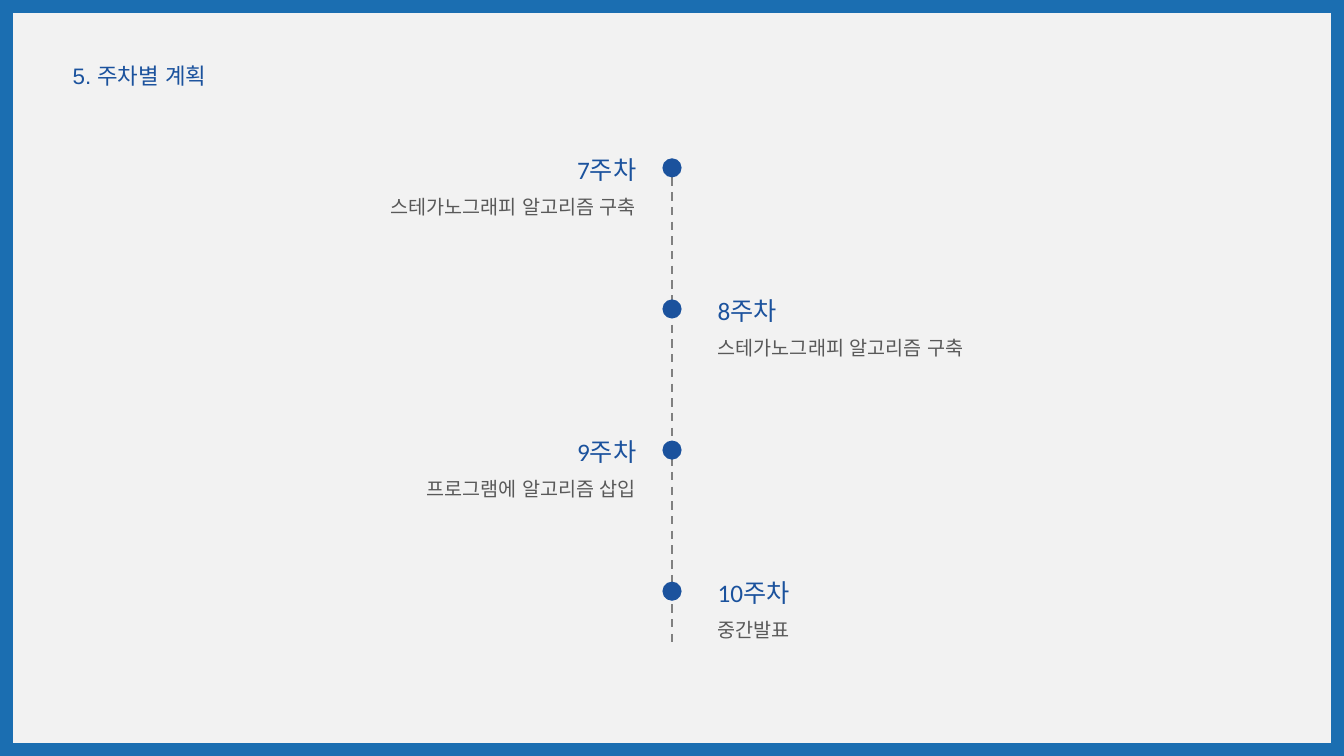
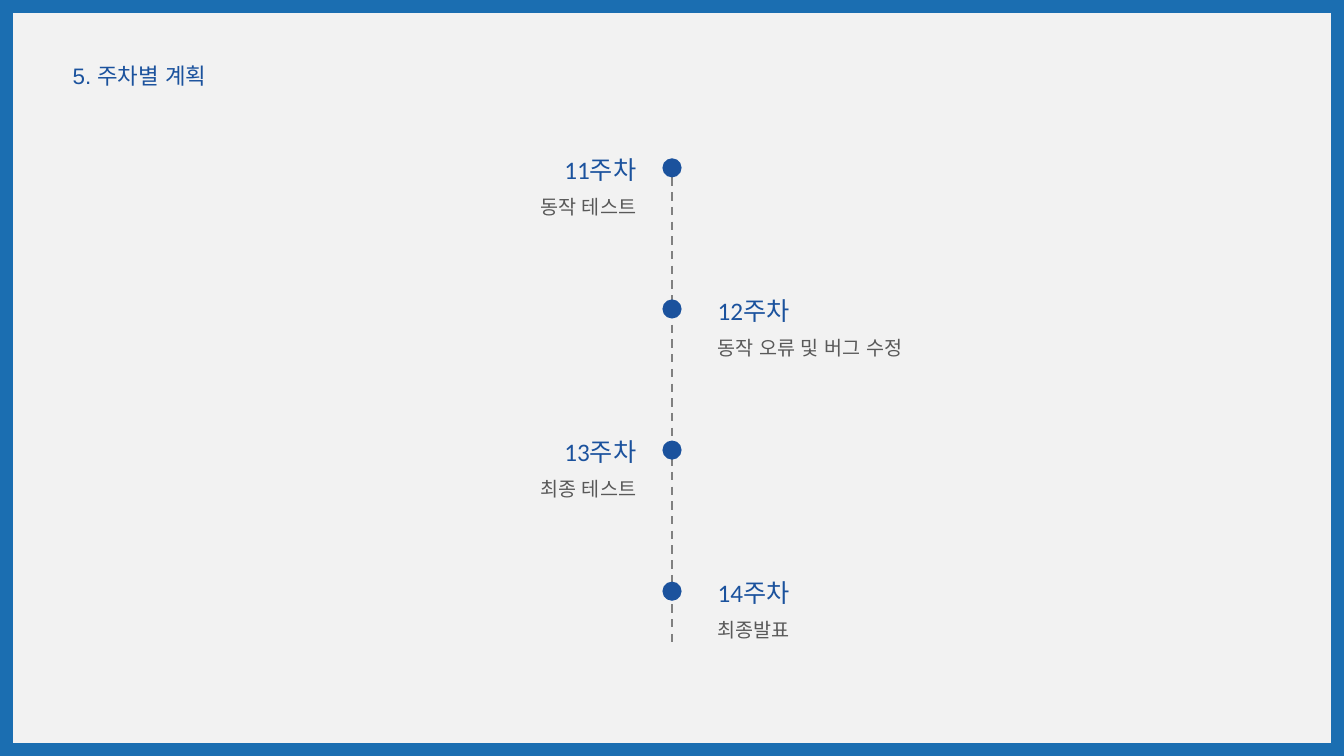
from pptx import Presentation
from pptx.dml.color import RGBColor
from pptx.enum import dml, lang, shapes, text
from pptx.oxml import parse_xml
from pptx.oxml.ns import nsdecls
from pptx.util import Inches, Pt

TITLE = "5. 주차별 계획"
SCHEDULES = [
    [
        ("7주차", "스테가노그래피 알고리즘 구축"),
        ("8주차", "스테가노그래피 알고리즘 구축"),
        ("9주차", "프로그램에 알고리즘 삽입"),
        ("10주차", "중간발표"),
    ],
    [
        ("11주차", "동작 테스트"),
        ("12주차", "동작 오류 및 버그 수정"),
        ("13주차", "최종 테스트"),
        ("14주차", "최종발표"),
    ],
]

BACKGROUND = RGBColor(0xF2, 0xF2, 0xF2)
FRAME_BLUE = RGBColor(0x1B, 0x6E, 0xB1)
ACCENT_BLUE = RGBColor(0x1B, 0x52, 0x9D)
LINE_GRAY = RGBColor(0x80, 0x80, 0x80)
BODY_GRAY = RGBColor(0x59, 0x59, 0x59)

SLIDE_WIDTH, SLIDE_HEIGHT = Inches(13.33), Inches(7.5)
AXIS_X = SLIDE_WIDTH // 2
AXIS_TOP, AXIS_BOTTOM = Inches(1.76), Inches(6.43)
DOT_SIZE = Inches(0.19)
FIRST_DOT_TOP = Inches(1.57)
WEEK_STEP = Inches(1.4)
LABEL_WIDTH = Inches(3)
LEFT_LABEL_X = Inches(6.41) - LABEL_WIDTH
RIGHT_LABEL_X = Inches(7.02)


def write(shape, content, size, font_name, color, alignment=text.PP_ALIGN.LEFT):
    frame = shape.text_frame
    frame.text = content
    frame.word_wrap = True
    frame.auto_size = text.MSO_AUTO_SIZE.NONE
    frame.vertical_anchor = text.MSO_ANCHOR.TOP
    paragraph = frame.paragraphs[0]
    paragraph.alignment = alignment
    font = paragraph.runs[0].font
    font.size, font.name = Pt(size), font_name
    font.color.rgb = color
    font.language_id = lang.MSO_LANGUAGE_ID.KOREAN


def add_filled_shape(slide, kind, left, top, width, height, color):
    shape = slide.shapes.add_shape(kind, left, top, width, height)
    shape.shadow.inherit = False
    shape.fill.solid()
    shape.fill.fore_color.rgb = color
    shape.line.fill.background()
    return shape


def add_axis(slide):
    axis = slide.shapes.add_connector(
        shapes.MSO_CONNECTOR.STRAIGHT, AXIS_X, AXIS_TOP, AXIS_X, AXIS_BOTTOM)
    axis.line.color.rgb = LINE_GRAY
    axis.line.width = Pt(1.5)
    axis.line.dash_style = dml.MSO_LINE.DASH
    axis.element.spPr.append(parse_xml(f"<a:effectLst {nsdecls('a')}/>"))


def add_week(slide, index, week, task):
    dot_top = FIRST_DOT_TOP + index * WEEK_STEP
    on_left = index % 2 == 0
    left = LEFT_LABEL_X if on_left else RIGHT_LABEL_X
    alignment = text.PP_ALIGN.RIGHT if on_left else text.PP_ALIGN.LEFT
    group = slide.shapes.add_group_shape()
    week_top = dot_top - Inches(0.09)
    task_top = week_top + Inches(0.4)
    week_box = group.shapes.add_textbox(left, week_top, LABEL_WIDTH, Inches(0.4))
    write(week_box, week, 18, "Calibri", ACCENT_BLUE, alignment)
    task_box = group.shapes.add_textbox(left, task_top, LABEL_WIDTH, Inches(0.34))
    write(task_box, task, 14, "Calibri", BODY_GRAY, alignment)
    add_filled_shape(slide, shapes.MSO_SHAPE.OVAL, AXIS_X - DOT_SIZE // 2, dot_top,
                     DOT_SIZE, DOT_SIZE, ACCENT_BLUE)


def add_schedule_slide(presentation, layout, weeks):
    slide = presentation.slides.add_slide(layout)
    title = slide.shapes.title
    title.left, title.top = Inches(0.62), Inches(0.57)
    title.width, title.height = Inches(4), Inches(0.37)
    write(title, TITLE, 16, "Arial", ACCENT_BLUE)
    add_axis(slide)
    for index, (week, task) in enumerate(weeks):
        add_week(slide, index, week, task)
    return slide


def add_layout_frame(slide, layout):
    frame = add_filled_shape(slide, shapes.MSO_SHAPE.FRAME, 0, 0,
                             SLIDE_WIDTH, SLIDE_HEIGHT, FRAME_BLUE)
    frame.adjustments[0] = 0.017
    layout.shapes.element.insert(2, frame.element)


def main():
    presentation = Presentation()
    presentation.slide_width, presentation.slide_height = SLIDE_WIDTH, SLIDE_HEIGHT
    layout = presentation.slide_layouts.get_by_name("Title Only")
    layout.background.fill.solid()
    layout.background.fill.fore_color.rgb = BACKGROUND
    slides = [add_schedule_slide(presentation, layout, weeks) for weeks in SCHEDULES]
    add_layout_frame(slides[0], layout)
    presentation.save("out.pptx")


if __name__ == "__main__":
    main()
